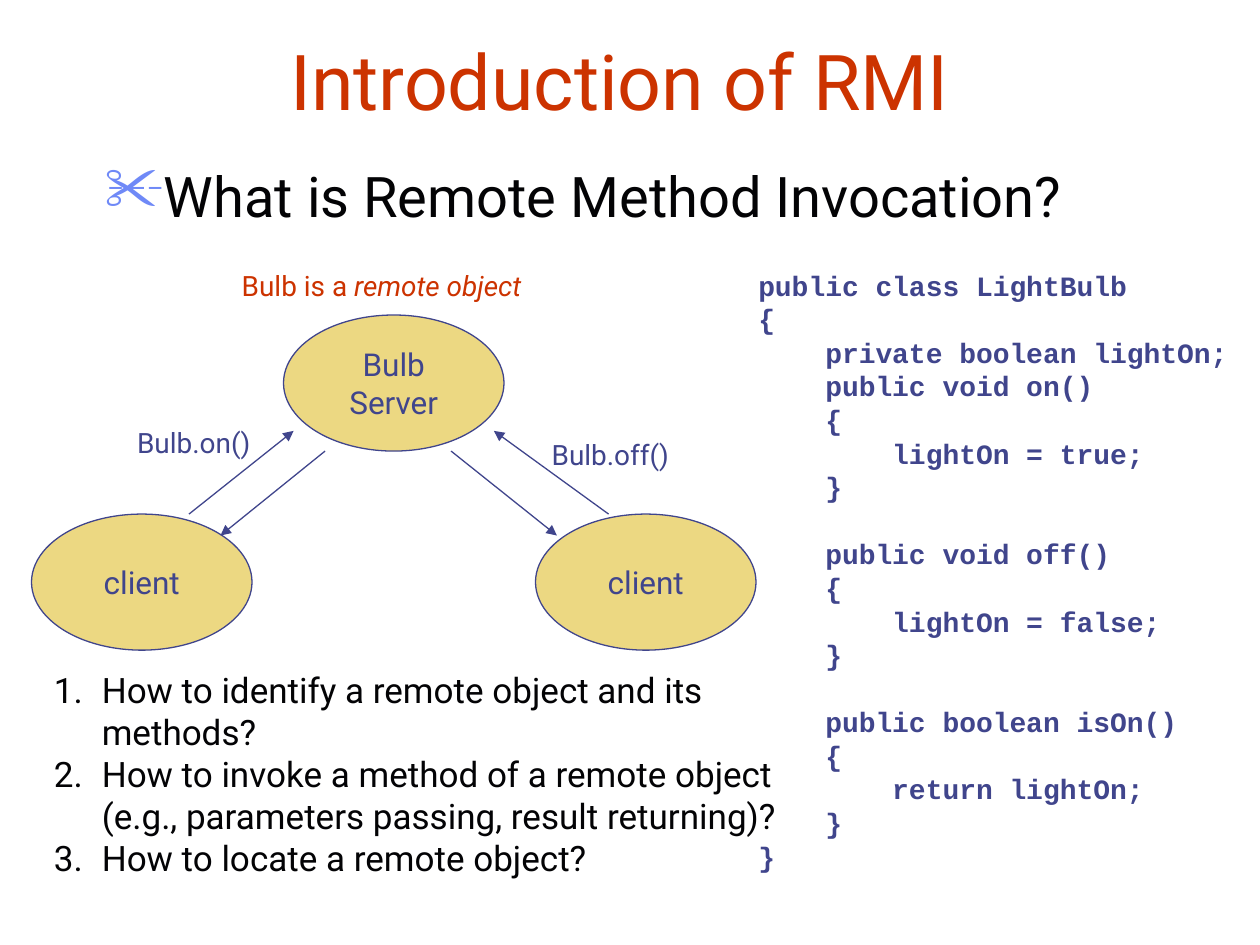
"""Build the slide that introduces remote method invocation."""
from dataclasses import dataclass

from lxml.etree import SubElement
from pptx import Presentation
from pptx.dml.color import RGBColor
from pptx.enum.shapes import MSO_CONNECTOR, MSO_SHAPE
from pptx.enum.text import MSO_ANCHOR, PP_ALIGN
from pptx.oxml.ns import qn
from pptx.util import Inches, Pt


@dataclass(frozen=True)
class Theme:
    red: str = "CC3300"
    black: str = "030305"
    navy: str = "40458C"
    sand: str = "ECD882"
    bullet: str = "6F89F7"
    font: str = "Roboto"
    code_font: str = "Courier New"
    title_size: int = 44
    question_size: int = 32
    list_size: int = 20
    node_size: int = 18
    label_size: int = 16


theme = Theme()


def write(frame, text, *, size, color, font=theme.font, bold=False, italic=False,
          align=PP_ALIGN.LEFT, spacing=None, before=0, new_paragraph=True):
    paragraph = frame.paragraphs[-1]
    if new_paragraph:
        if paragraph.runs:
            paragraph = frame.add_paragraph()
        paragraph.alignment = align
        paragraph.space_before = Pt(before)
        if spacing:
            paragraph.line_spacing = Pt(spacing)
    run = paragraph.add_run()
    run.text = text
    run.font.size = Pt(size)
    run.font.name = font
    run.font.bold = bold
    run.font.italic = italic
    run.font.color.rgb = RGBColor.from_string(color)
    return paragraph


def add_bullet(paragraph, kind, color, indent, margin, percent=100, **attributes):
    properties = paragraph._p.get_or_add_pPr()
    properties.set("marL", str(Inches(margin)))
    properties.set("indent", str(Inches(-indent)))
    bullet_color = SubElement(properties, qn("a:buClr"))
    SubElement(bullet_color, qn("a:srgbClr"), val=color)
    SubElement(properties, qn("a:buSzPct"), val=str(percent * 1000))
    SubElement(properties, qn(kind), **attributes)


presentation = Presentation()
presentation.slide_width = Inches(10)
presentation.slide_height = Inches(7.5)
slide = presentation.slides.add_slide(presentation.slide_layouts[5])

title = slide.shapes.title
title.left, title.top = Inches(0.67), Inches(0.17)
title.width, title.height = Inches(8.5), Inches(0.92)
title_frame = title.text_frame
title_frame.vertical_anchor = MSO_ANCHOR.MIDDLE
title_frame.margin_left = title_frame.margin_right = 0
title_frame.margin_top = title_frame.margin_bottom = 0
write(title_frame, "Introduction of RMI", size=theme.title_size, color=theme.red,
      align=PP_ALIGN.CENTER)

question = slide.shapes.add_textbox(Inches(0.75), Inches(1.28), Inches(8.75), Inches(0.67))
question_frame = question.text_frame
question_frame.word_wrap = True
question_frame.margin_left = question_frame.margin_right = 0
question_frame.margin_top = question_frame.margin_bottom = 0
paragraph = write(question_frame, "What is Remote Method Invocation?",
                  size=theme.question_size, color=theme.black)
add_bullet(paragraph, "a:buChar", theme.bullet, 0.47, 0.55, percent=110, char="✂")

nodes = [
    (2.25, 2.5, ["Bulb", "Server"]),
    (0.25, 4.08, ["client"]),
    (4.25, 4.08, ["client"]),
]
for left, top, lines in nodes:
    node = slide.shapes.add_shape(MSO_SHAPE.OVAL, Inches(left), Inches(top),
                                  Inches(1.75), Inches(1.08))
    node.shadow.inherit = False
    node.fill.solid()
    node.fill.fore_color.rgb = RGBColor.from_string(theme.sand)
    node.line.color.rgb = RGBColor.from_string(theme.navy)
    node.line.width = Pt(0.75)
    node.text_frame.word_wrap = False
    node.text_frame.vertical_anchor = MSO_ANCHOR.MIDDLE
    for line in lines:
        write(node.text_frame, line, size=theme.node_size, color=theme.navy,
              align=PP_ALIGN.CENTER)

arrows = [
    (1.5, 4.08, 2.33, 3.42),
    (4.83, 4.08, 3.92, 3.42),
    (2.58, 3.58, 1.75, 4.25),
    (3.58, 3.58, 4.42, 4.25),
]
for ends in arrows:
    arrow = slide.shapes.add_connector(MSO_CONNECTOR.STRAIGHT, *map(Inches, ends))
    arrow.line.color.rgb = RGBColor.from_string(theme.navy)
    arrow.line.width = Pt(0.75)
    SubElement(arrow.line._get_or_add_ln(), qn("a:tailEnd"), type="triangle")
    SubElement(arrow._element.spPr, qn("a:effectLst"))

labels = [
    (0.99, 3.33, 1.14, "Bulb.on()", "", theme.navy),
    (4.28, 3.42, 1.15, "Bulb.off()", "", theme.navy),
    (1.82, 2.08, 2.49, "Bulb is a ", "remote object", theme.red),
]
for left, top, width, text, emphasis, color in labels:
    label = slide.shapes.add_textbox(Inches(left), Inches(top), Inches(width), Inches(0.37))
    label.text_frame.word_wrap = False
    write(label.text_frame, text, size=theme.label_size, color=color)
    if emphasis:
        write(label.text_frame, emphasis, size=theme.label_size, color=color,
              italic=True, new_paragraph=False)

code_blocks = [
    """public class LightBulb
{
    private boolean lightOn;
    public void on()
    {
        lightOn = true;
    }""",
    """    public void off()
    {
        lightOn = false;
    }""",
    """    public boolean isOn()
    {
        return lightOn;
    }
}""",
]
code_pitch = 19.2
code = slide.shapes.add_textbox(Inches(5.92), Inches(2.08), Inches(4), Inches(4.9))
code.text_frame.word_wrap = True
for block_index, block in enumerate(code_blocks):
    for line_index, line in enumerate(block.splitlines()):
        starts_method = block_index > 0 and line_index == 0
        write(code.text_frame, line, size=theme.label_size, color=theme.navy,
              font=theme.code_font, bold=True, spacing=code_pitch,
              before=code_pitch if starts_method else 0)

issues = [
    "How to identify a remote object and its methods?",
    "How to invoke a method of a remote object (e.g., parameters passing, result returning)?",
    "How to locate a remote object?",
]
issue_list = slide.shapes.add_textbox(Inches(0.33), Inches(5.26), Inches(6.17), Inches(2.1))
issue_list.text_frame.word_wrap = True
for issue in issues:
    paragraph = write(issue_list.text_frame, issue, size=theme.list_size,
                      color=theme.black, spacing=24)
    add_bullet(paragraph, "a:buAutoNum", theme.black, 0.38, 0.38, type="arabicPeriod")

presentation.save("out.pptx")
